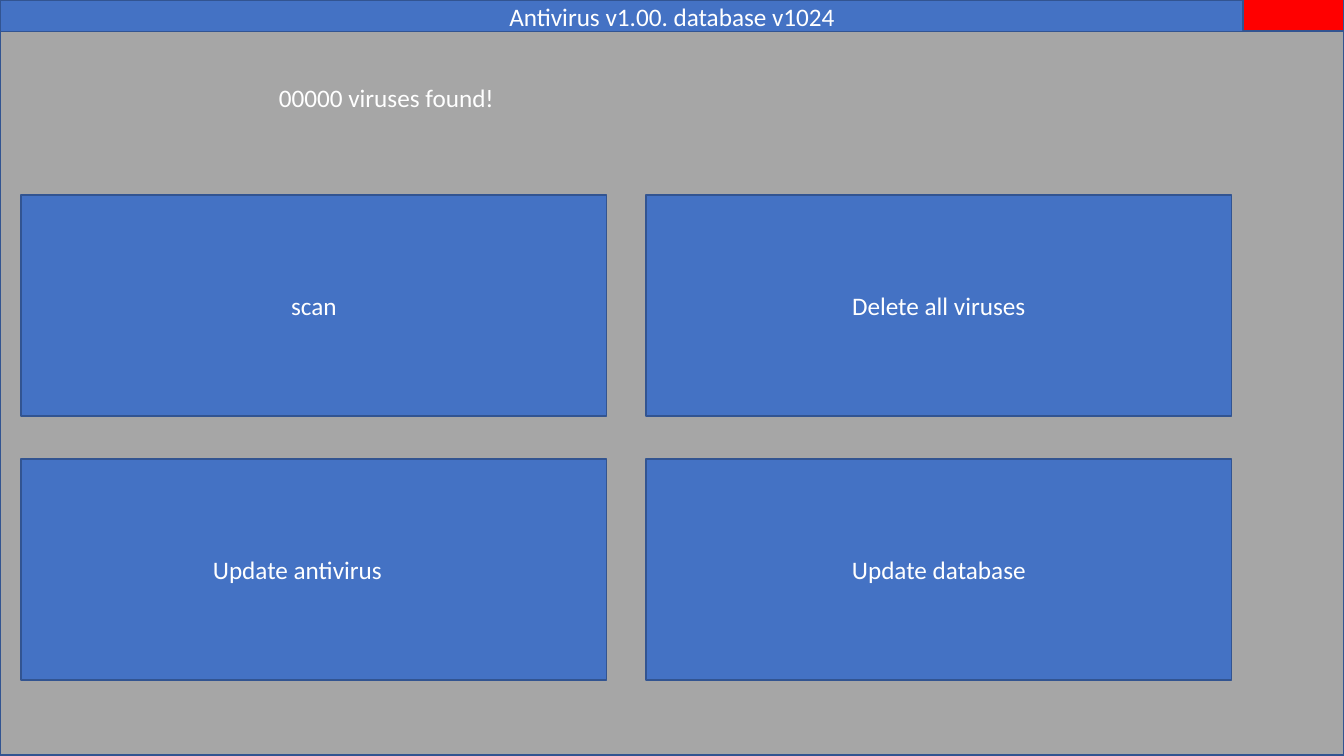
from pptx import Presentation
from pptx.dml.color import RGBColor
from pptx.enum.shapes import MSO_SHAPE as Shape
from pptx.enum.text import MSO_ANCHOR as Anchor, MSO_AUTO_SIZE as AutoSize, PP_ALIGN as Align
from pptx.util import Cm, Pt

COLORS = {
    "blue": "4472C4",
    "outline": "325491",
    "panel": "A6A6A6",
    "close": "FF0000",
    "text": "FFFFFF",
}
SLIDE_W, SLIDE_H = 33.87, 19.05
BAR_H = 0.79
TITLE_ONLY = 5


def color(name):
    return RGBColor.from_string(COLORS[name])


def paint(shape, fill):
    shape.fill.solid()
    shape.fill.fore_color.rgb = color(fill)
    shape.line.color.rgb = color("outline")
    shape.line.width = Pt(1)


def write(shape, text, size=18, align=Align.CENTER, anchor=Anchor.MIDDLE,
          auto_size=AutoSize.NONE, inset_right=0.25):
    frame = shape.text_frame
    frame.word_wrap = True
    frame.auto_size = auto_size
    frame.vertical_anchor = anchor
    frame.margin_right = Cm(inset_right)
    paragraph = frame.paragraphs[0]
    paragraph.alignment = align
    run = paragraph.add_run()
    run.text = text
    run.font.name = "Calibri"
    run.font.size = Pt(size)
    run.font.color.rgb = color("text")


def add_rect(slide, left, top, width, height, fill):
    rect = slide.shapes.add_shape(
        Shape.RECTANGLE, Cm(left), Cm(top), Cm(width), Cm(height))
    rect.shadow.inherit = False
    paint(rect, fill)
    return rect


def title_bar(slide, left, top, width, height):
    title = slide.shapes.title
    title.left, title.top = Cm(left), Cm(top)
    title.width, title.height = Cm(width), Cm(height)
    paint(title, "blue")
    write(title, "Antivirus v1.00. database v1024")


def close_button(slide, right, top, width, height):
    add_rect(slide, right - width, top, width, height, "close")


def button_grid(slide, left, top, width, height, gap_x=0.99, gap_y=1.09):
    # Each button has a label and a right inset
    rows = [
        [("scan", 0.25), ("Delete all viruses", 0.25)],
        [("Update antivirus", 1.08), ("Update database", 0.25)],
    ]
    button_w = (width - gap_x) / 2
    button_h = (height - gap_y) / 2
    for row, labels in enumerate(rows):
        for column, (label, inset) in enumerate(labels):
            button = add_rect(slide, left + column * (button_w + gap_x),
                              top + row * (button_h + gap_y),
                              button_w, button_h, "blue")
            write(button, label, inset_right=inset)


def scan_status(slide, left, top, width, height):
    status = slide.shapes.add_textbox(Cm(left), Cm(top), Cm(width), Cm(height))
    write(status, "00000 viruses found!", align=Align.LEFT, anchor=Anchor.TOP,
          auto_size=AutoSize.SHAPE_TO_FIT_TEXT)


def antivirus_window(slide, width, height):
    title_bar(slide, 0, 0.02, width, BAR_H - 0.02)
    add_rect(slide, 0, BAR_H, width, height - BAR_H - 0.02, "panel")
    close_button(slide, width, -0.07, 2.54, 0.84)
    button_grid(slide, 0.53, 4.91, 30.51, 12.23)
    scan_status(slide, 6.78, 1.94, 23.98, 1.02)


def main():
    deck = Presentation()
    deck.slide_width, deck.slide_height = Cm(SLIDE_W), Cm(SLIDE_H)
    slide = deck.slides.add_slide(deck.slide_layouts[TITLE_ONLY])
    antivirus_window(slide, SLIDE_W, SLIDE_H)
    deck.save("out.pptx")


if __name__ == "__main__":
    main()
